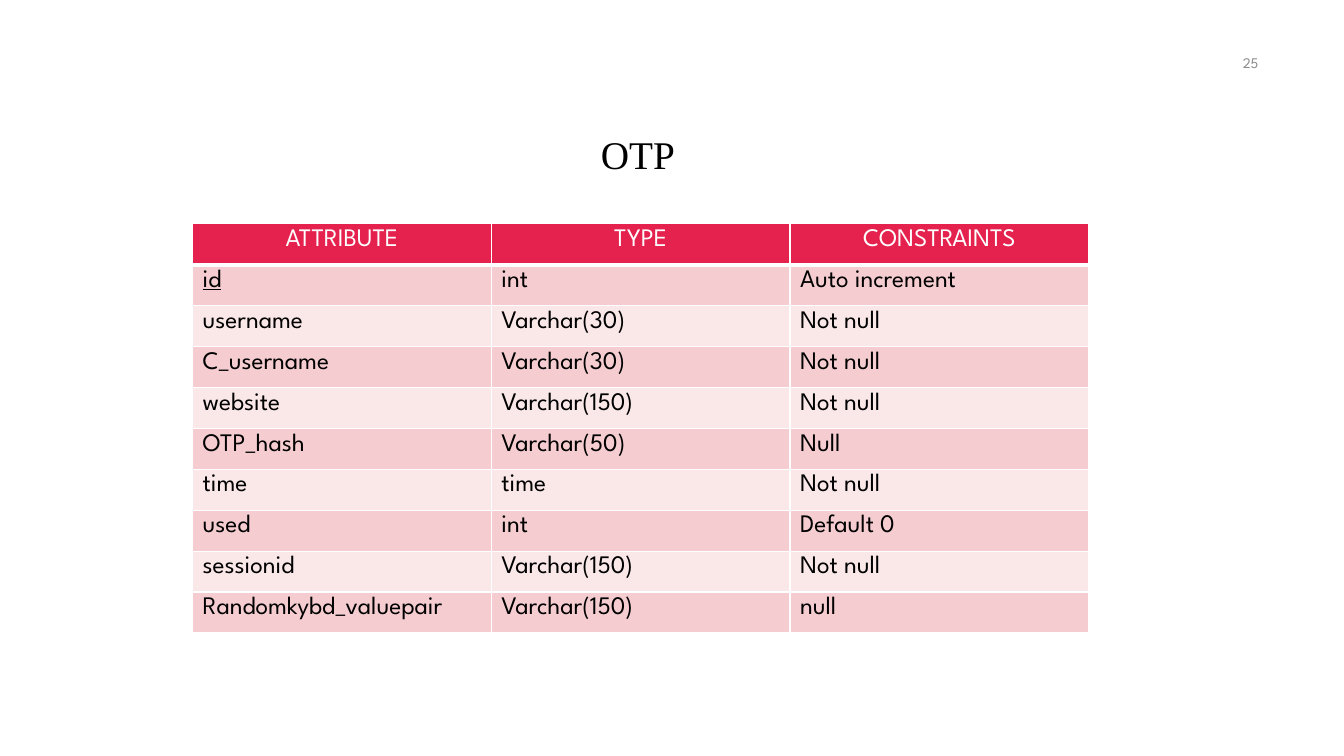
from lxml.etree import SubElement
from pptx import Presentation
from pptx.dml.color import RGBColor
from pptx.enum.text import MSO_ANCHOR, MSO_AUTO_SIZE, PP_ALIGN
from pptx.oxml.ns import qn
from pptx.util import Inches, Pt

TITLE = "OTP"
PAGE_NUMBER = "25"
HEADER = ("ATTRIBUTE", "TYPE", "CONSTRAINTS")
ATTRIBUTES = [
    ("id", "int", "Auto increment"),
    ("username", "Varchar(30)", "Not null"),
    ("C_username", "Varchar(30)", "Not null"),
    ("website", "Varchar(150)", "Not null"),
    ("OTP_hash", "Varchar(50)", "Null"),
    ("time", "time", "Not null"),
    ("used", "int", "Default 0"),
    ("sessionid", "Varchar(150)", "Not null"),
    ("Randomkybd_valuepair", "Varchar(150)", "null"),
]
PRIMARY_KEY = "id"
COLORS = {
    "header": "E5224E",
    "odd": "F5CDD0",
    "even": "FAE8E9",
    "white": "FFFFFF",
    "black": "000000",
    "number": "8C8C8C",
}
BODY_FONT = "League Spartan"
TITLE_FONT = "Times New Roman"


def add_text(frame, text, size, color, font=BODY_FONT, align=PP_ALIGN.LEFT):
    """Add one formatted run to the first paragraph and return it."""
    paragraph = frame.paragraphs[0]
    paragraph.alignment = align
    run = paragraph.add_run()
    run.text = text
    run.font.size = Pt(size)
    run.font.name = font
    run.font.bold = False
    run.font.color.rgb = RGBColor.from_string(COLORS[color])
    return run


def set_borders(cell, bottom=1, top=1):
    """Draw white cell borders with the given widths in points."""
    properties = cell._tc.get_or_add_tcPr()
    for side, width in (("L", 1), ("R", 1), ("T", top), ("B", bottom)):
        line = SubElement(properties, qn(f"a:ln{side}"), w=str(Pt(width)))
        fill = SubElement(line, qn("a:solidFill"))
        SubElement(fill, qn("a:srgbClr"), val=COLORS["white"])


def add_attribute_table(slide):
    """Add the table of attributes with a header and banded rows."""
    rows = [HEADER] + ATTRIBUTES
    table = slide.shapes.add_table(
        len(rows), len(HEADER),
        Inches(1.91), Inches(2.22), Inches(8.89), Inches(4.06),
    ).table
    for row_index, row in enumerate(rows):
        is_header = row_index == 0
        band = "header" if is_header else "odd" if row_index % 2 else "even"
        for column_index, text in enumerate(row):
            cell = table.cell(row_index, column_index)
            set_borders(cell, bottom=3 if is_header else 1,
                        top=3 if row_index == 1 else 1)
            cell.fill.solid()
            cell.fill.fore_color.rgb = RGBColor.from_string(COLORS[band])
            run = add_text(
                cell.text_frame, text, 18,
                "white" if is_header else "black",
                align=PP_ALIGN.CENTER if is_header else PP_ALIGN.LEFT,
            )
            if text == PRIMARY_KEY:
                run.font.underline = True


presentation = Presentation()
presentation.slide_width = Inches(13.33)
presentation.slide_height = Inches(7.5)
slide = presentation.slides.add_slide(presentation.slide_layouts[5])

title = slide.shapes.title
title.left, title.top = Inches(5.86), Inches(1.24)
title.width, title.height = Inches(4.25), Inches(0.57)
title.text_frame.auto_size = MSO_AUTO_SIZE.NONE
title.text_frame.vertical_anchor = MSO_ANCHOR.TOP
add_text(title.text_frame, TITLE, 28, "black", TITLE_FONT)

add_attribute_table(slide)

number_box = slide.shapes.add_textbox(
    Inches(9.58), Inches(0.42), Inches(3), Inches(0.4))
number_box.text_frame.word_wrap = True
number_box.text_frame.vertical_anchor = MSO_ANCHOR.MIDDLE
add_text(number_box.text_frame, PAGE_NUMBER, 10.5, "number",
         align=PP_ALIGN.RIGHT)

presentation.save("out.pptx")
